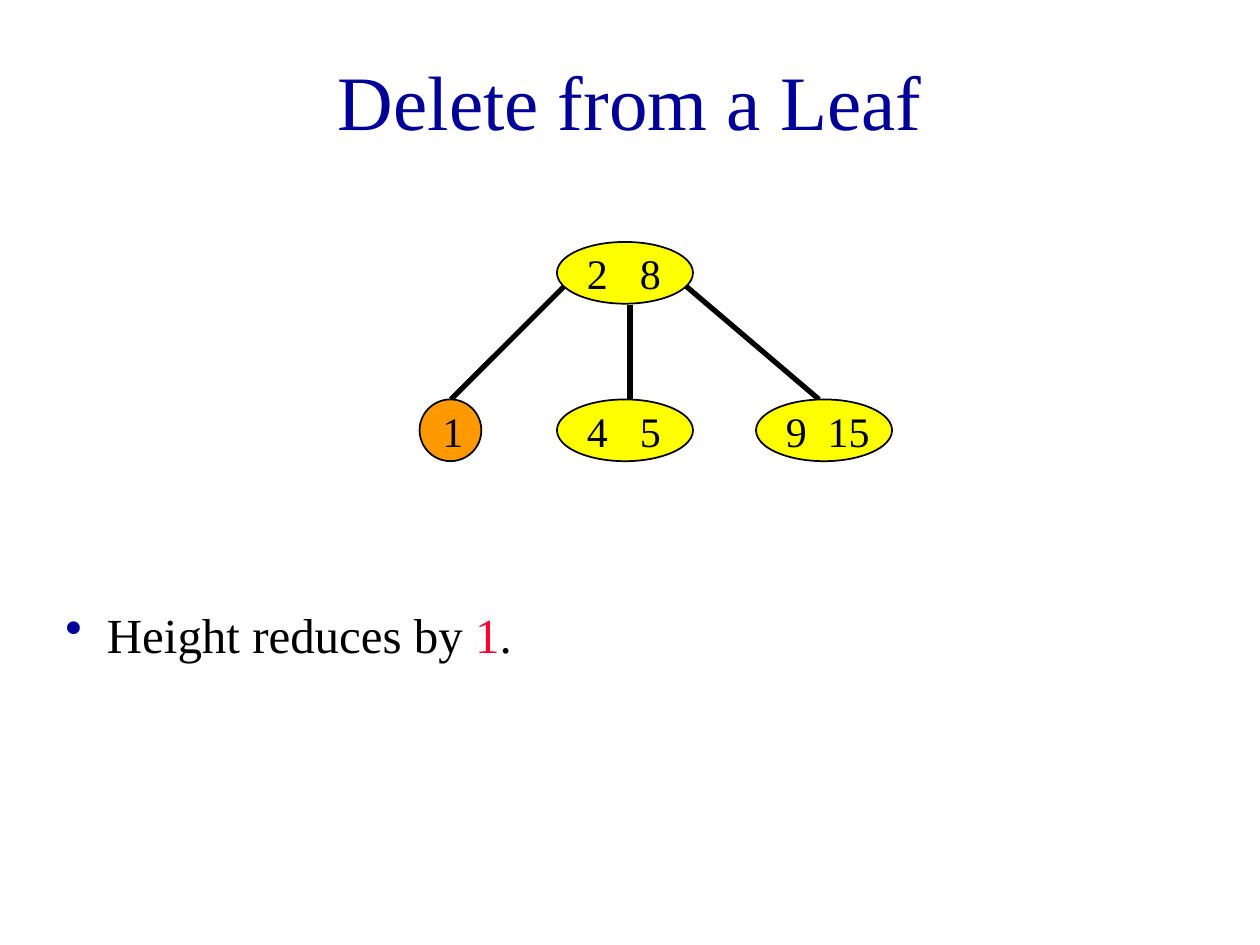
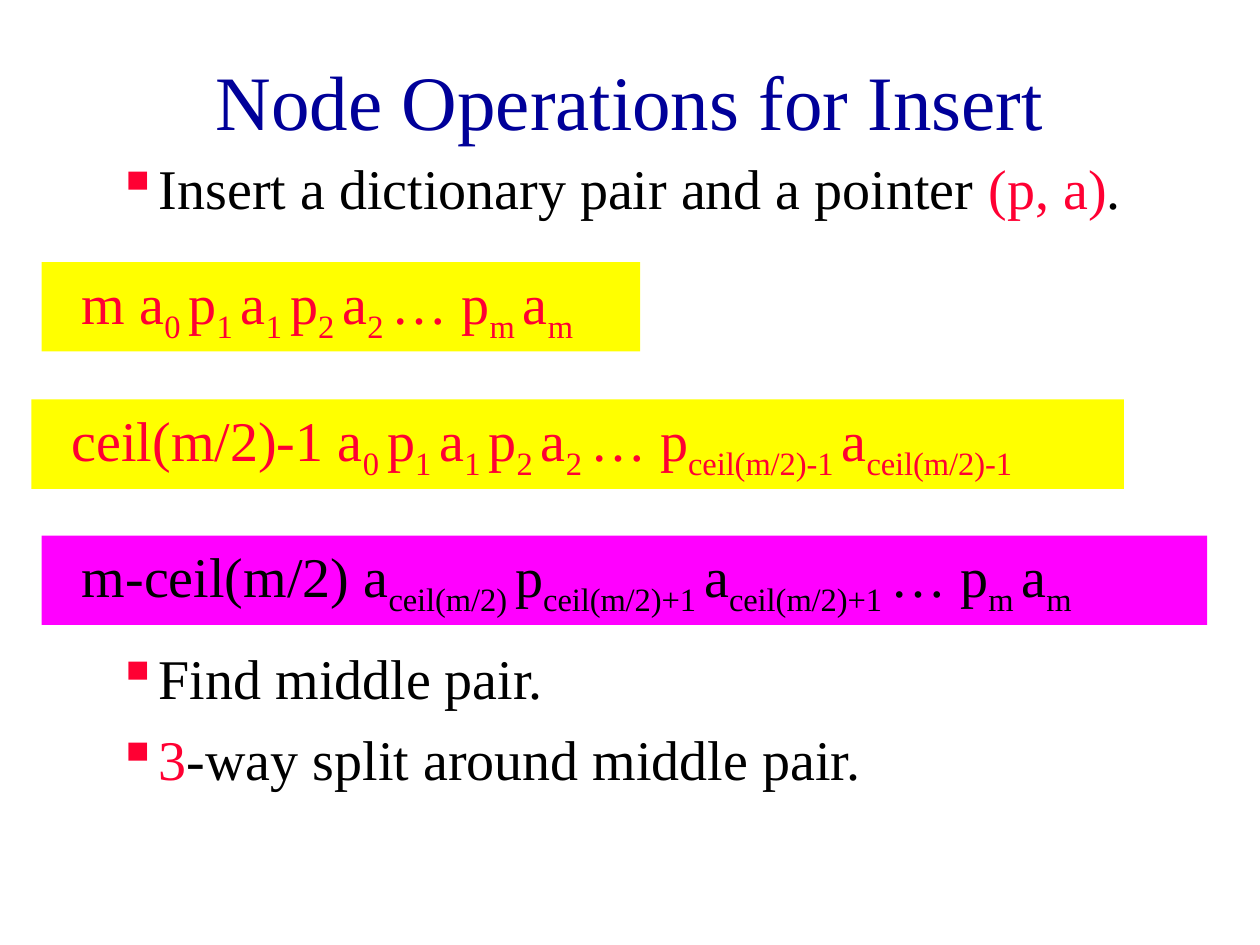
from dataclasses import dataclass

import pptx
import pptx.dml.color
import pptx.enum.shapes
import pptx.enum.text
import pptx.oxml
import pptx.oxml.ns
import pptx.util
from pptx.util import Inches, Pt

FONT = "Times New Roman"
COLORS = {
    "title": "000099",
    "text": "000000",
    "accent": "FF0033",
    "node": "FFFF00",
    "deficient": "FF9900",
    "right_part": "FF00FF",
}
SHAPES = pptx.enum.shapes.MSO_SHAPE
ANCHOR = pptx.enum.text.MSO_ANCHOR
ALIGN = pptx.enum.text.PP_ALIGN


@dataclass
class TreeNode:
    keys: str
    left: float
    top: float
    width: float = 1.08
    color: str = "node"
    inset: float = 0.08
    tab: float = 0.42


@dataclass
class Edge:
    start: tuple[float, float]
    end: tuple[float, float]


@dataclass
class NodeBar:
    """Node contents; every second part between | marks is a subscript."""
    formula: str
    left: float
    top: float
    width: float
    fill: str
    color: str


@dataclass
class BulletStyle:
    char: str
    color: str
    size: int
    margin: float
    hanging: float
    space_before: int


@dataclass
class BulletBox:
    """Bulleted lines; every second part between | marks is in the accent colour."""
    lines: list[str]
    left: float
    top: float
    width: float
    height: float
    style: BulletStyle


NODE_HEIGHT = 0.49
ROOT_TOP, LEAF_TOP = 1.92, 3.17
BAR_HEIGHT = 0.71

EDGES = [
    Edge((4.5, 2.25), (3.58, LEAF_TOP)),
    Edge((5, 2.42), (5, LEAF_TOP)),
    Edge((5.42, 2.25), (6.5, LEAF_TOP)),
]
NODES = [
    TreeNode("2\t8", 4.42, ROOT_TOP),
    TreeNode("1", 3.33, LEAF_TOP, width=NODE_HEIGHT, color="deficient", inset=0.11),
    TreeNode("4\t5", 4.42, LEAF_TOP),
    TreeNode("9\t15", 6, LEAF_TOP, tab=0.33),
]
BARS = [
    NodeBar("m a|0 |p|1 |a|1 |p|2 |a|2 |… p|m |a|m",
            0.33, 2.08, 4.75, "node", "accent"),
    NodeBar("ceil(m/2)-1 a|0 |p|1 |a|1 |p|2 |a|2 |… p|ceil(m/2)-1 |a|ceil(m/2)-1",
            0.25, 3.17, 8.67, "node", "accent"),
    NodeBar("m-ceil(m/2) a|ceil(m/2) |p|ceil(m/2)+1 |a|ceil(m/2)+1 |… p|m |a|m",
            0.33, 4.25, 9.25, "right_part", "text"),
]
ROUND = BulletStyle("•", "title", 28, 0.33, 0.33, 0)
SQUARE = BulletStyle("▪", "accent", 32, 0.81, 0.31, 8)
HEIGHT_NOTE = BulletBox(["Height reduces by |1|."], 0.42, 4.75, 9.58, 0.57, ROUND)
INSERT_STEPS = [
    BulletBox(["Insert a dictionary pair and a pointer |(p, a)|."],
              0.33, 1.17, 8.92, 0.75, SQUARE),
    BulletBox(["Find middle pair.", "|3|-way split around middle pair."],
              0.33, 5.06, 8.92, 1.28, SQUARE),
]


def rgb(name: str) -> pptx.dml.color.RGBColor:
    return pptx.dml.color.RGBColor.from_string(COLORS[name])


def format_run(r, size: int, color: str) -> None:
    r.font.name = FONT
    r.font.size = Pt(size)
    r.font.color.rgb = rgb(color)


def add_runs(p, marked: str, size: int, color: str) -> list:
    """Add the parts between | marks as runs and return every second one."""
    for part in marked.split("|"):
        r = p.add_run()
        r.text = part
        format_run(r, size, color)
    marked_runs = list(p.runs)[1::2]
    for r in list(p.runs):
        if not r.text:
            p._p.remove(r._r)
    return marked_runs


def add_property(p, xml: str) -> None:
    namespace = pptx.oxml.ns.nsdecls("a")
    p._p.get_or_add_pPr().append(
        pptx.oxml.parse_xml(xml.replace(" ", f" {namespace} ", 1)))


def add_titled_slide(prs, title: str):
    s = prs.slides.add_slide(prs.slide_layouts[5])
    sp = s.shapes.title
    sp.left, sp.top = Inches(0.75), Inches(0.17)
    sp.width, sp.height = Inches(8.5), Inches(1.25)
    tf = sp.text_frame
    tf.text = title
    tf.vertical_anchor = ANCHOR.MIDDLE
    p = tf.paragraphs[0]
    p.alignment = ALIGN.CENTER
    format_run(p.runs[0], 44, "title")
    return s


def add_filled_shape(s, kind, left: float, top: float, width: float,
                     height: float, fill: str):
    sp = s.shapes.add_shape(kind, Inches(left), Inches(top),
                            Inches(width), Inches(height))
    sp.shadow.inherit = False
    sp.fill.solid()
    sp.fill.fore_color.rgb = rgb(fill)
    sp.text_frame.word_wrap = True
    sp.text_frame.paragraphs[0].alignment = ALIGN.LEFT
    return sp


def draw_edge(s, edge: Edge) -> None:
    line = s.shapes.add_connector(pptx.enum.shapes.MSO_CONNECTOR.STRAIGHT,
                                  *map(Inches, edge.start + edge.end))
    line.line.color.rgb = rgb("text")
    line.line.width = Pt(3)
    line._element.spPr.append(pptx.oxml.parse_xml(
        f"<a:effectLst {pptx.oxml.ns.nsdecls('a')}/>"))


def draw_node(s, node: TreeNode) -> None:
    sp = add_filled_shape(s, SHAPES.OVAL, node.left, node.top, node.width,
                          NODE_HEIGHT, node.color)
    sp.line.color.rgb = rgb("text")
    sp.line.width = Pt(1)
    tf = sp.text_frame
    tf.margin_left = Inches(node.inset)
    tf.margin_right = tf.margin_top = tf.margin_bottom = 0
    tf.vertical_anchor = ANCHOR.MIDDLE
    p = tf.paragraphs[0]
    p.text = node.keys
    if "\t" in node.keys:
        add_property(p, f'<a:tabLst ><a:tab pos="{Inches(node.tab)}" algn="l"/></a:tabLst>')
    for r in p.runs:
        format_run(r, 24, "text")


def draw_bar(s, bar: NodeBar) -> None:
    sp = add_filled_shape(s, SHAPES.RECTANGLE, bar.left, bar.top, bar.width,
                          BAR_HEIGHT, bar.fill)
    sp.line.fill.background()
    tf = sp.text_frame
    tf.margin_left = Inches(0.32)
    tf.vertical_anchor = ANCHOR.TOP
    for r in add_runs(tf.paragraphs[0], bar.formula, 32, bar.color):
        r._r.get_or_add_rPr().set("baseline", "-25000")


def draw_bullets(s, box: BulletBox) -> None:
    style = box.style
    sp = s.shapes.add_textbox(Inches(box.left), Inches(box.top),
                              Inches(box.width), Inches(box.height))
    tf = sp.text_frame
    tf.word_wrap = True
    for i, line in enumerate(box.lines):
        p = tf.add_paragraph() if i else tf.paragraphs[0]
        p.space_before = Pt(style.space_before)
        pPr = p._p.get_or_add_pPr()
        pPr.set("marL", str(Inches(style.margin)))
        pPr.set("indent", str(-Inches(style.hanging)))
        add_property(p, f'<a:buClr ><a:srgbClr val="{COLORS[style.color]}"/></a:buClr>')
        add_property(p, f'<a:buChar char="{style.char}"/>')
        for r in add_runs(p, line, style.size, "text"):
            r.font.color.rgb = rgb("accent")


def main() -> None:
    prs = pptx.Presentation()
    prs.slide_width, prs.slide_height = Inches(10), Inches(7.5)

    s = add_titled_slide(prs, "Delete from a Leaf")
    for edge in EDGES:
        draw_edge(s, edge)
    for node in NODES:
        draw_node(s, node)
    draw_bullets(s, HEIGHT_NOTE)

    s = add_titled_slide(prs, "Node Operations for Insert")
    for bar in BARS:
        draw_bar(s, bar)
    for box in INSERT_STEPS:
        draw_bullets(s, box)

    prs.save("out.pptx")


if __name__ == "__main__":
    main()
